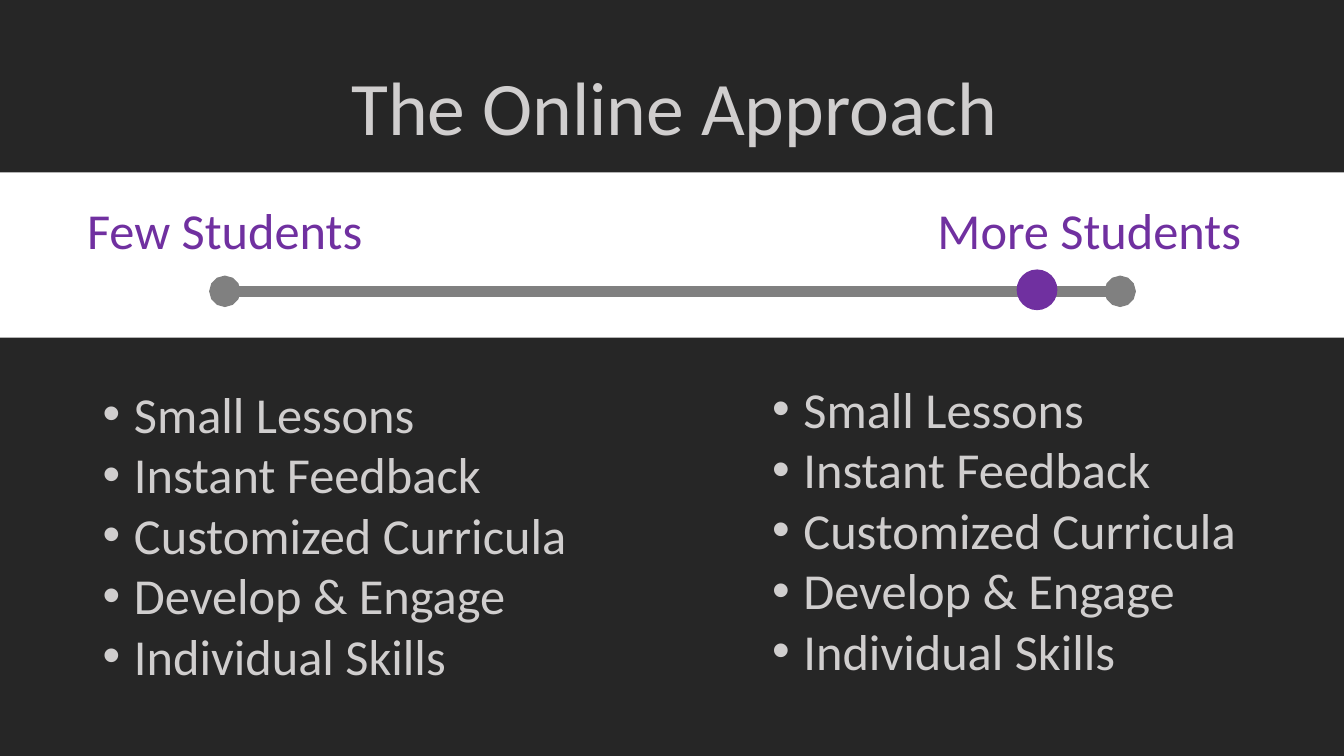
from dataclasses import dataclass

from lxml import etree
from pptx import Presentation
from pptx.dml.color import RGBColor
from pptx.enum import shapes, text
from pptx.oxml import ns
from pptx.util import Inches, Pt


@dataclass(frozen=True)
class Theme:
    font: str = "Calibri"
    background: RGBColor = RGBColor(0x26, 0x26, 0x26)
    band: RGBColor = RGBColor(0xFF, 0xFF, 0xFF)
    scale: RGBColor = RGBColor(0x80, 0x80, 0x80)
    accent: RGBColor = RGBColor(0x70, 0x30, 0xA0)
    light: RGBColor = RGBColor(0xD0, 0xCE, 0xCE)
    title_size: int = 54
    body_size: int = 36


theme = Theme()
CENTER = text.PP_ALIGN.CENTER
LEFT = text.PP_ALIGN.LEFT


def add_text(box, lines, color, size=theme.body_size, align=LEFT, bullets=False, wrap=False):
    """Add a text box with one paragraph per line and return its text frame."""
    frame = slide.shapes.add_textbox(*map(Inches, box)).text_frame
    frame.text = "\n".join(lines)
    frame.word_wrap = wrap
    frame.auto_size = text.MSO_AUTO_SIZE.NONE if wrap else text.MSO_AUTO_SIZE.SHAPE_TO_FIT_TEXT
    for paragraph in frame.paragraphs:
        paragraph.alignment = align
        if bullets:
            properties = paragraph._p.get_or_add_pPr()
            properties.set("marL", str(Inches(0.31)))
            properties.set("indent", str(Inches(-0.31)))
            etree.SubElement(properties, ns.qn("a:buFont"), typeface="Arial")
            etree.SubElement(properties, ns.qn("a:buChar"), char="•")
        for run in paragraph.runs:
            run.font.name = theme.font
            run.font.size = Pt(size)
            run.font.color.rgb = color
    return frame


def add_filled_shape(kind, box, color):
    """Add a flat preset shape in one colour, without an outline."""
    shape = slide.shapes.add_shape(kind, *map(Inches, box))
    shape.shadow.inherit = False
    shape.fill.solid()
    shape.fill.fore_color.rgb = color
    shape.line.fill.background()
    return shape


presentation = Presentation()
presentation.slide_width = Inches(13.33)
presentation.slide_height = Inches(7.5)
slide = presentation.slides.add_slide(presentation.slide_layouts[6])
slide.background.fill.solid()
slide.background.fill.fore_color.rgb = theme.background

# White band behind the scale
add_filled_shape(shapes.MSO_SHAPE.RECTANGLE, (0, 1.71, 13.33, 1.64), theme.band)

# Scale line with round ends
scale = slide.shapes.add_connector(
    shapes.MSO_CONNECTOR.STRAIGHT, Inches(2.23), Inches(2.89), Inches(11.11), Inches(2.89)
)
scale.line.color.rgb = theme.scale
scale.line.width = Pt(7.5)
for end in ("a:headEnd", "a:tailEnd"):
    etree.SubElement(scale.line._get_or_add_ln(), ns.qn(end), type="oval")
etree.SubElement(scale._element.spPr, ns.qn("a:effectLst"))

# Scale labels
add_text((0.75, 1.93, 2.96, 0.71), ["Few Students"], theme.accent, align=CENTER)
add_text((9.2, 1.93, 3.24, 0.71), ["More Students"], theme.accent)

# Marker on the scale
marker = add_filled_shape(shapes.MSO_SHAPE.OVAL, (10.09, 2.68, 0.39, 0.39), theme.accent)
marker.line.color.rgb = theme.accent
marker.line.width = Pt(1)

# Title
title = add_text((0.94, 0.38, 11.5, 1.45), ["The Online Approach"], theme.light,
                 size=theme.title_size, align=CENTER, wrap=True)
title.vertical_anchor = text.MSO_ANCHOR.MIDDLE
title.paragraphs[0].line_spacing = 0.9

# The same list under both ends of the scale
benefits = [
    "Small Lessons",
    "Instant Feedback",
    "Customized Curricula",
    "Develop & Engage",
    "Individual Skills",
]
for left, top in ((0.92, 3.75), (7.56, 3.7)):
    add_text((left, top, 4.85, 3.13), benefits, theme.light, bullets=True)

presentation.save("out.pptx")
